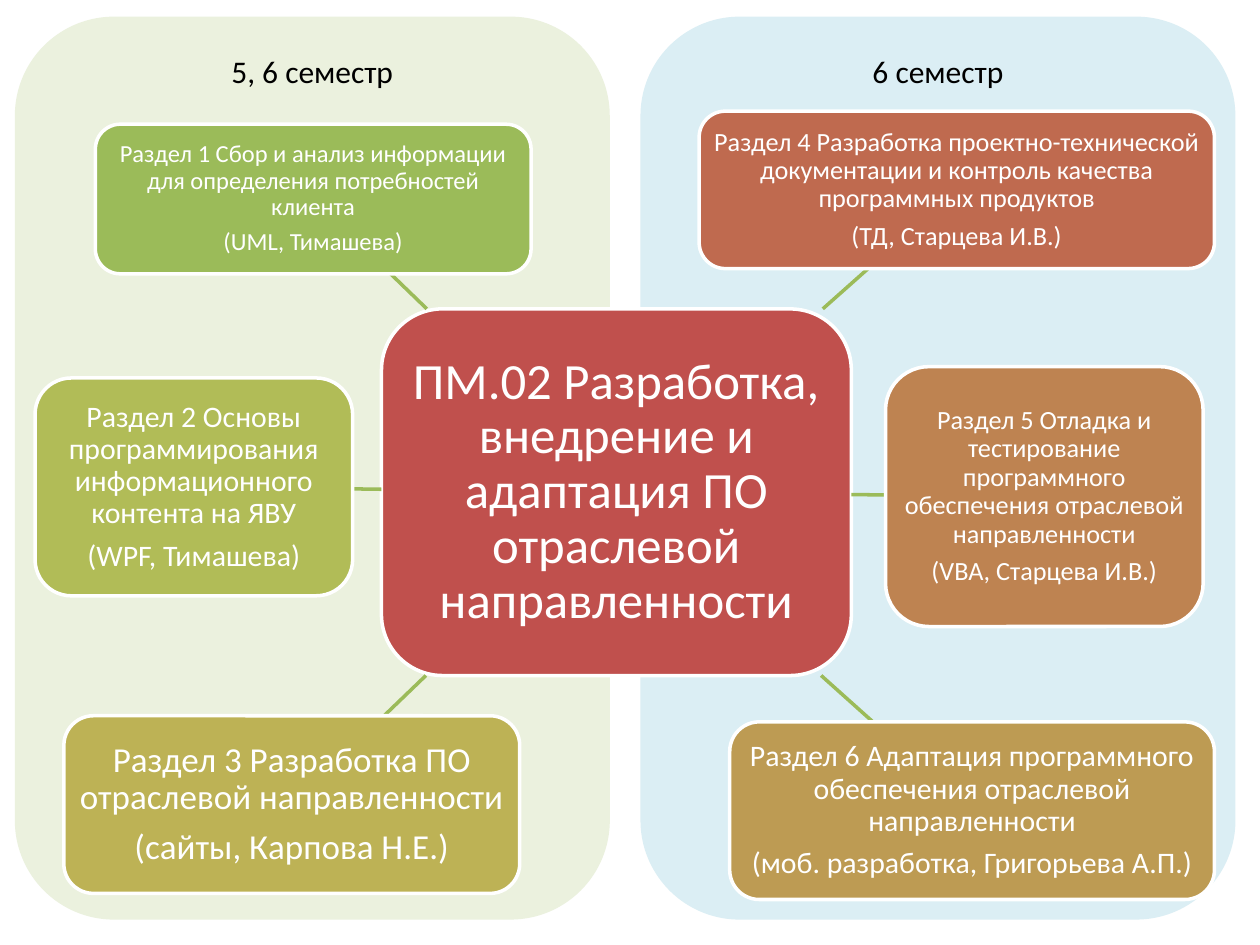
from collections import namedtuple
from dataclasses import dataclass

from lxml.etree import SubElement
from pptx import Presentation
from pptx.dml.color import RGBColor
from pptx.enum.shapes import MSO_CONNECTOR, MSO_SHAPE
from pptx.enum.text import MSO_ANCHOR, PP_ALIGN
from pptx.oxml.ns import qn
from pptx.util import Pt

Box = namedtuple("Box", "left top width height")
Section = namedtuple("Section", "box fill size title teacher")


@dataclass(frozen=True)
class Theme:
    font: str = "Calibri"
    dark: str = "000000"
    light: str = "FFFFFF"
    link: str = "9BBB59"
    module: str = "C0504D"
    autumn_panel: str = "EBF1DE"
    spring_panel: str = "DBEEF4"
    panel_size: int = 18
    module_size: int = 29
    line_width: int = 2
    inset_ratio: float = 0.2
    gap_ratio: float = 0.35
    line_spacing: float = 0.9


THEME = Theme()
MODULE_BOX = Box(218, 176.5, 268.5, 209.5)
MODULE_TITLE = "ПМ.02 Разработка, внедрение и адаптация ПО отраслевой направленности"
PANELS = [
    (Box(366, 9.5, 340, 516), THEME.spring_panel, "6 семестр"),
    (Box(8.5, 9.5, 340, 516), THEME.autumn_panel, "5, 6 семестр"),
]
SECTIONS = [
    Section(Box(399.5, 63.5, 294.5, 90), "BF6A4F", 15,
            "Раздел 4 Разработка проектно-технической документации "
            "и контроль качества программных продуктов",
            "(ТД, Старцева И.В.)"),
    Section(Box(506, 209.5, 181.5, 148.5), "BE8351", 15,
            "Раздел 5 Отладка и тестирование программного обеспечения "
            "отраслевой направленности",
            "(VBA, Старцева И.В.)"),
    Section(Box(417, 412.5, 277, 101.5), "BD9B53", 17,
            "Раздел 6 Адаптация программного обеспечения отраслевой направленности",
            "(моб. разработка, Григорьева А.П.)"),
    Section(Box(36.5, 409, 260.5, 101.5), "BDB255", 20,
            "Раздел 3 Разработка ПО отраслевой направленности",
            "(сайты, Карпова Н.Е.)"),
    Section(Box(20, 216, 181.5, 124.5), "B1BC57", 17,
            "Раздел 2 Основы программирования информационного контента на ЯВУ",
            "(WPF, Тимашева)"),
    Section(Box(54.5, 71, 249, 85.5), "9BBB59", 14,
            "Раздел 1 Сбор и анализ информации для определения потребностей клиента",
            "(UML, Тимашева)"),
]


def add_rounded(slide, box, fill):
    card = slide.shapes.add_shape(MSO_SHAPE.ROUNDED_RECTANGLE, *map(Pt, box))
    card.shadow.inherit = False
    card.fill.solid()
    card.fill.fore_color.rgb = RGBColor.from_string(fill)
    card.line.fill.background()
    card.text_frame.word_wrap = True
    return card


def add_centred_run(paragraph, wording, size, color):
    paragraph.alignment = PP_ALIGN.CENTER
    run = paragraph.add_run()
    run.text = wording
    run.font.name = THEME.font
    run.font.size = Pt(size)
    run.font.color.rgb = RGBColor.from_string(color)


def add_panel(slide, box, fill, semester):
    frame = add_rounded(slide, box, fill).text_frame
    frame.vertical_anchor = MSO_ANCHOR.TOP
    add_centred_run(frame.paragraphs[0], semester, THEME.panel_size, THEME.dark)


def add_card(slide, box, fill, size, *lines):
    card = add_rounded(slide, box, fill)
    card.line.color.rgb = RGBColor.from_string(THEME.light)
    card.line.width = Pt(THEME.line_width)
    frame = card.text_frame
    frame.vertical_anchor = MSO_ANCHOR.MIDDLE
    inset = Pt(size * THEME.inset_ratio)
    frame.margin_left = frame.margin_right = inset
    frame.margin_top = frame.margin_bottom = inset
    for index, wording in enumerate(lines):
        paragraph = frame.add_paragraph() if index else frame.paragraphs[0]
        paragraph.line_spacing = THEME.line_spacing
        paragraph.space_after = Pt(size * THEME.gap_ratio)
        add_centred_run(paragraph, wording, size, THEME.light)


def centre(box):
    return box.left + box.width / 2, box.top + box.height / 2


def edge_towards(box, target):
    x, y = centre(box)
    dx, dy = target[0] - x, target[1] - y
    reach = 0.5 / max(abs(dx) / box.width, abs(dy) / box.height)
    return x + dx * reach, y + dy * reach


def add_link(slide, hub, outer):
    start = edge_towards(hub, centre(outer))
    end = edge_towards(outer, centre(hub))
    link = slide.shapes.add_connector(
        MSO_CONNECTOR.STRAIGHT, *map(Pt, start + end))
    link.line.color.rgb = RGBColor.from_string(THEME.link)
    link.line.width = Pt(THEME.line_width)
    SubElement(link._element.spPr, qn("a:effectLst"))


def add_module_map(slide, hub):
    add_card(slide, hub, THEME.module, THEME.module_size, MODULE_TITLE)
    for section in SECTIONS:
        add_link(slide, hub, section.box)
        add_card(slide, *section)


def main():
    deck = Presentation()
    deck.slide_width, deck.slide_height = Pt(720), Pt(540)
    slide = deck.slides.add_slide(deck.slide_layouts.get_by_name("Blank"))
    for panel in PANELS:
        add_panel(slide, *panel)
    add_module_map(slide, MODULE_BOX)
    deck.save("out.pptx")


if __name__ == "__main__":
    main()
